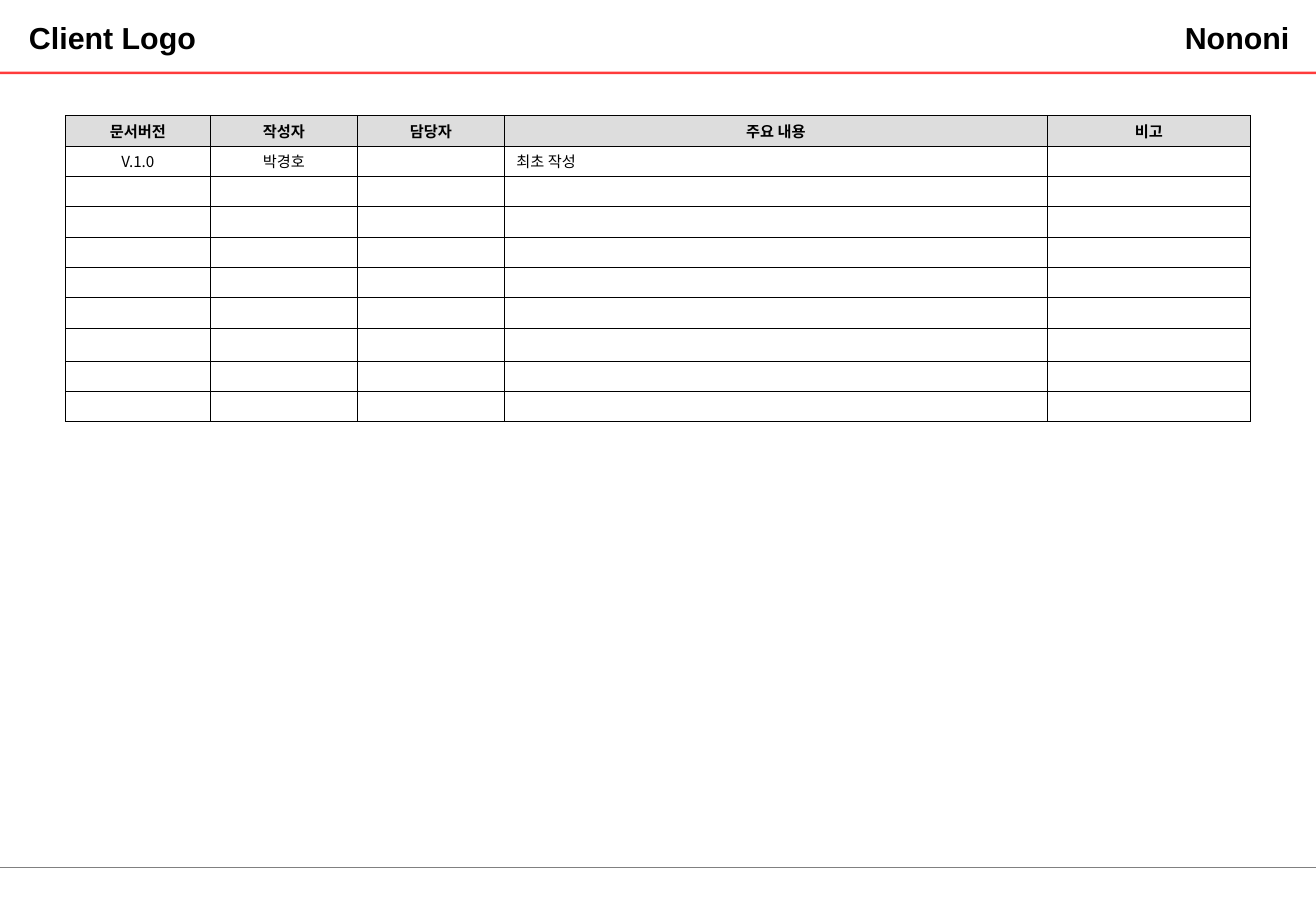
from lxml import etree
from pptx import Presentation, util as u
from pptx.dml.color import RGBColor
from pptx.enum import shapes, text
from pptx.oxml.ns import qn

COLORS = {"ink": "000000", "accent": "FF0000", "rule": "808080", "header": "DDDDDD"}
HEADING_FONT = "Arial"
BODY_FONT = "Noto Sans CJK KR"
WIDTH, HEIGHT = 10.83, 7.5

COLUMN_WIDTHS = [1.19, 1.21, 1.21, 4.47, 1.67]
ROW_HEIGHTS = [0.25] * 7 + [0.27] + [0.25] * 2
HISTORY = [
    ["문서버전", "작성자", "담당자", "주요 내용", "비고"],
    ["V.1.0", "박경호", "", "최초 작성", ""],
]
SUMMARY_COLUMN = 3


def rgb(name):
    return RGBColor.from_string(COLORS[name])


def style(paragraph, font_name, size, bold):
    font = paragraph.font
    font.name, font.size, font.bold = font_name, u.Pt(size), bold
    font.color.rgb = rgb("ink")


def add_rule(slide, top, color, weight, opacity=100):
    rule = slide.shapes.add_connector(
        shapes.MSO_CONNECTOR.STRAIGHT,
        u.Inches(0), u.Inches(top), u.Inches(WIDTH), u.Inches(top))
    rule.line.color.rgb = rgb(color)
    rule.line.width = u.Pt(weight)
    properties = rule._element.spPr
    etree.SubElement(properties, qn("a:effectLst"))
    if opacity < 100:
        tint = properties.find(".//" + qn("a:srgbClr"))
        etree.SubElement(tint, qn("a:alpha"), val=str(opacity * 1000))


def add_heading(slide, box, words, alignment):
    heading = slide.shapes.add_textbox(*map(u.Inches, box))
    frame = heading.text_frame
    frame.word_wrap = False
    frame.auto_size = text.MSO_AUTO_SIZE.SHAPE_TO_FIT_TEXT
    paragraph = frame.paragraphs[0]
    paragraph.text = words
    paragraph.alignment = alignment
    style(paragraph, HEADING_FONT, 18, True)


def add_page_frame(slide):
    add_rule(slide, 0.6, "accent", 1.5, 76)
    add_rule(slide, 7.14, "rule", 0.75)
    add_heading(slide, (0.14, 0.11, 1.59, 0.4), "Client Logo", text.PP_ALIGN.LEFT)
    add_heading(slide, (9.64, 0.11, 1.07, 0.4), "Nononi", text.PP_ALIGN.RIGHT)


def add_borders(cell):
    properties = cell._tc.get_or_add_tcPr()
    for position, side in enumerate(("lnL", "lnR", "lnT", "lnB")):
        border = etree.Element(qn("a:" + side), w=str(u.Pt(0.25)))
        fill = etree.SubElement(border, qn("a:solidFill"))
        etree.SubElement(fill, qn("a:srgbClr"), val=COLORS["ink"])
        properties.insert(position, border)


def fill_cell(cell, words, is_header, alignment):
    cell.vertical_anchor = text.MSO_ANCHOR.MIDDLE
    cell.margin_top = cell.margin_bottom = 0
    if is_header:
        cell.fill.solid()
        cell.fill.fore_color.rgb = rgb("header")
    else:
        cell.fill.background()
    add_borders(cell)
    paragraph = cell.text_frame.paragraphs[0]
    paragraph.alignment = alignment
    paragraph.space_before = u.Pt(1.8)
    style(paragraph, BODY_FONT, 9, is_header)
    defaults = paragraph._p.pPr.find(qn("a:defRPr"))
    etree.SubElement(defaults, qn("a:ea"), typeface=BODY_FONT)
    if words:
        paragraph.add_run().text = words
    else:
        etree.SubElement(paragraph._p, qn("a:endParaRPr"), sz="900")


def add_history(slide, left, top):
    table = slide.shapes.add_table(
        len(ROW_HEIGHTS), len(COLUMN_WIDTHS), u.Inches(left), u.Inches(top),
        u.Inches(sum(COLUMN_WIDTHS)), u.Inches(sum(ROW_HEIGHTS))).table
    table.horz_banding = False
    for column, width in zip(table.columns, COLUMN_WIDTHS):
        column.width = u.Inches(width)
    for r, height in enumerate(ROW_HEIGHTS):
        table.rows[r].height = u.Inches(height)
        entries = HISTORY[r] if r < len(HISTORY) else [""] * len(COLUMN_WIDTHS)
        for c, words in enumerate(entries):
            is_summary = r > 0 and c == SUMMARY_COLUMN
            alignment = text.PP_ALIGN.LEFT if is_summary else text.PP_ALIGN.CENTER
            fill_cell(table.cell(r, c), words, r == 0, alignment)


def main():
    deck = Presentation()
    deck.slide_width, deck.slide_height = u.Inches(WIDTH), u.Inches(HEIGHT)
    slide = deck.slides.add_slide(deck.slide_layouts[6])
    add_page_frame(slide)
    add_history(slide, 0.54, 0.95)
    deck.save("out.pptx")


if __name__ == "__main__":
    main()
